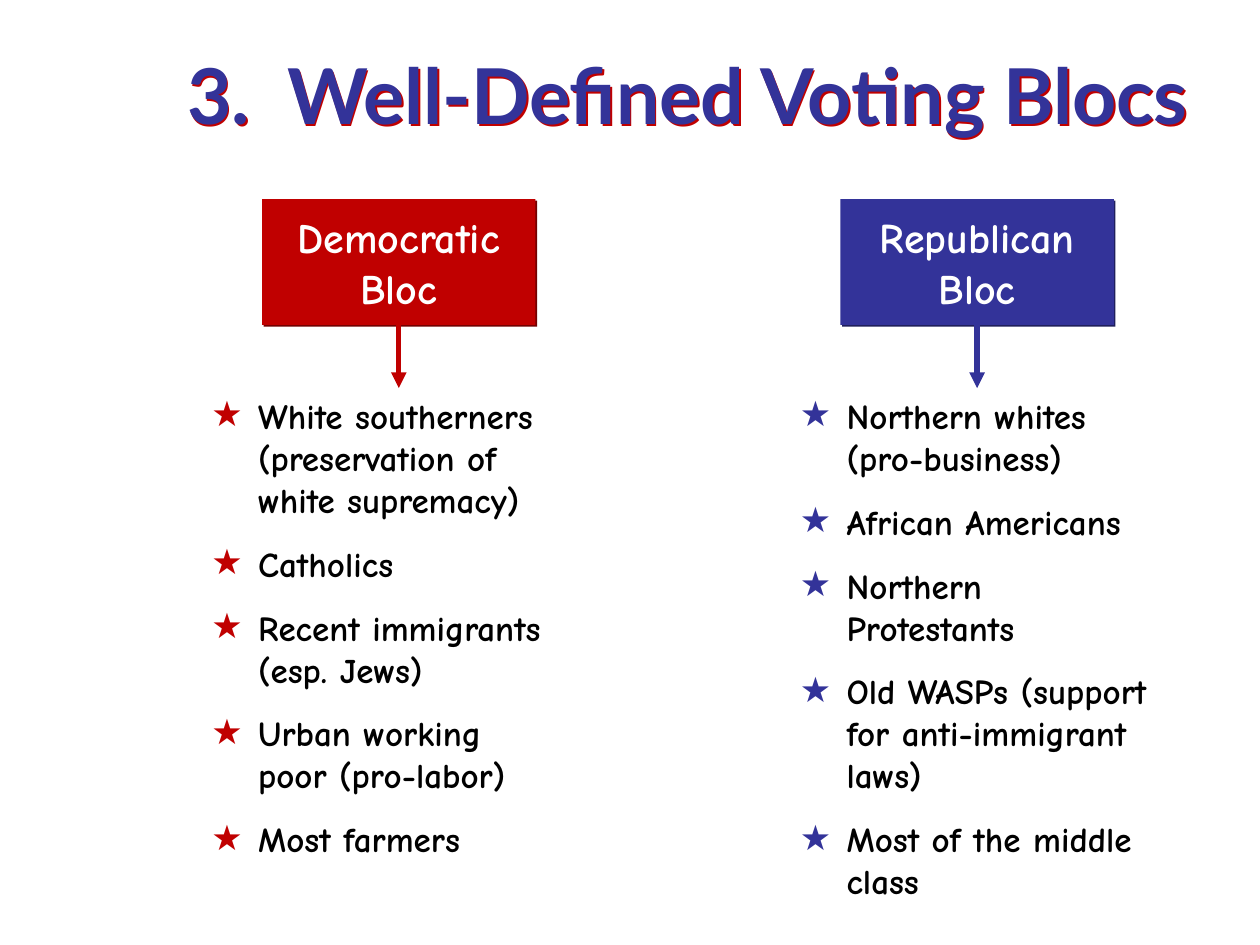
from dataclasses import dataclass

import pptx
import pptx.dml.color
import pptx.enum.shapes
import pptx.enum.text
import pptx.oxml
import pptx.oxml.ns
import pptx.util
from pptx.util import Inches

ANCHOR = pptx.enum.text.MSO_ANCHOR
CENTER = pptx.enum.text.PP_ALIGN.CENTER


@dataclass(frozen=True)
class Theme:
    red: str = "C00000"
    blue: str = "333399"
    white: str = "FFFFFF"
    black: str = "000000"
    head: str = "Lato"
    body: str = "Comic Neue"
    title: int = 44
    box: int = 24
    item: int = 20


@dataclass(frozen=True)
class Bloc:
    name: str
    color: str
    shade: str
    left: float
    list_left: float
    list_width: float
    list_height: float
    items: tuple[str, ...]


THEME = Theme()
BLOCS = (
    Bloc("Democratic\nBloc", THEME.red, "730000", 2.08, 1.58, 3.08, 3.8, (
        "White southerners\n(preservation of\nwhite supremacy)",
        "Catholics",
        "Recent immigrants\n(esp. Jews)",
        "Urban working\npoor (pro-labor)",
        "Most farmers",
    )),
    Bloc("Republican\nBloc", THEME.blue, "1F1F5C", 6.67, 6.25, 3.42, 4.13, (
        "Northern whites\n(pro-business)",
        "African Americans",
        "Northern\nProtestants",
        "Old WASPs (support\nfor anti-immigrant\nlaws)",
        "Most of the middle\nclass",
    )),
)
BOX_TOP, BOX_WIDTH, BOX_HEIGHT = 1.58, 2.17, 1
LIST_TOP = 3.08
INDENT = Inches(0.37)


def rgb(code: str):
    return pptx.dml.color.RGBColor.from_string(code)


def add_xml(parent, tag: str, body: str = "", **attrs) -> None:
    """Append one drawing element, with its inner XML, to parent."""
    pairs = "".join(f' {key}="{val}"' for key, val in attrs.items())
    space = pptx.oxml.ns.nsdecls("a")
    parent.append(pptx.oxml.parse_xml(f"<a:{tag} {space}{pairs}>{body}</a:{tag}>"))


def add_shadow(shape, color: str) -> None:
    add_xml(shape._element.spPr, "effectLst",
            f'<a:outerShdw dist="17780" dir="2700000" algn="ctr" rotWithShape="0">'
            f'<a:srgbClr val="{color}"/></a:outerShdw>')


def style_text(para, font: str, size: int, color: str) -> None:
    form = {"name": font, "size": pptx.util.Pt(size), "bold": True}
    for run in para.runs:
        for key, val in form.items():
            setattr(run.font, key, val)
        run.font.color.rgb = rgb(color)


def add_title(slide, text: str) -> None:
    title = slide.shapes.title
    place = {"left": 1.17, "top": 0.33, "width": 8.58, "height": 1.57}
    for key, val in place.items():
        setattr(title, key, Inches(val))
    frame = title.text_frame
    form = {"vertical_anchor": ANCHOR.TOP, "word_wrap": True,
            "auto_size": pptx.enum.text.MSO_AUTO_SIZE.NONE}
    for key, val in form.items():
        setattr(frame, key, val)
    para = frame.paragraphs[0]
    para.text = text
    para.alignment = CENTER
    style_text(para, THEME.head, THEME.title, THEME.blue)
    title.fill.background()
    add_shadow(title, THEME.red)


def add_box(slide, bloc: Bloc):
    box = slide.shapes.add_shape(
        pptx.enum.shapes.MSO_SHAPE.RECTANGLE, Inches(bloc.left),
        Inches(BOX_TOP), Inches(BOX_WIDTH), Inches(BOX_HEIGHT))
    box.fill.solid()
    box.fill.fore_color.rgb = rgb(bloc.color)
    box.line.fill.background()
    add_shadow(box, bloc.shade)
    frame = box.text_frame
    frame.word_wrap = False
    frame.vertical_anchor = ANCHOR.MIDDLE
    para = frame.paragraphs[0]
    para.text = bloc.name
    para.alignment = CENTER
    style_text(para, THEME.body, THEME.box, THEME.white)
    return box


def add_arrow(slide, box, color: str) -> None:
    """Lead from the bottom of the box down to its list."""
    mid = box.left + box.width // 2
    arrow = slide.shapes.add_connector(
        pptx.enum.shapes.MSO_CONNECTOR.STRAIGHT,
        mid, box.top + box.height, mid, Inches(LIST_TOP))
    arrow.begin_connect(box, 2)
    arrow.line.color.rgb = rgb(color)
    arrow.line.width = pptx.util.Pt(3)
    add_xml(arrow.line._get_or_add_ln(), "tailEnd", type="triangle")
    add_xml(arrow._element.spPr, "effectLst")


def add_list(slide, bloc: Bloc) -> None:
    text = slide.shapes.add_textbox(
        Inches(bloc.list_left), Inches(LIST_TOP),
        Inches(bloc.list_width), Inches(bloc.list_height))
    frame = text.text_frame
    frame.word_wrap = True
    for num, item in enumerate(bloc.items):
        para = frame.add_paragraph() if num else frame.paragraphs[0]
        para.text = item
        if num:
            para.space_before = pptx.util.Pt(12.5)
        props = para._p.get_or_add_pPr()
        props.set("marL", str(INDENT))
        props.set("indent", str(-INDENT))
        add_xml(props, "buClr", f'<a:srgbClr val="{bloc.color}"/>')
        add_xml(props, "buFont", typeface=THEME.body)
        add_xml(props, "buChar", char="★")
        style_text(para, THEME.body, THEME.item, THEME.black)


def main() -> None:
    deck = pptx.Presentation()
    deck.slide_width, deck.slide_height = Inches(10), Inches(7.5)
    slide = deck.slides.add_slide(deck.slide_layouts[5])
    add_title(slide, "3.  Well-Defined Voting Blocs")
    boxes = [add_box(slide, bloc) for bloc in BLOCS]
    for box, bloc in zip(boxes, BLOCS):
        add_arrow(slide, box, bloc.color)
    for bloc in BLOCS:
        add_list(slide, bloc)
    deck.save("out.pptx")


if __name__ == "__main__":
    main()
